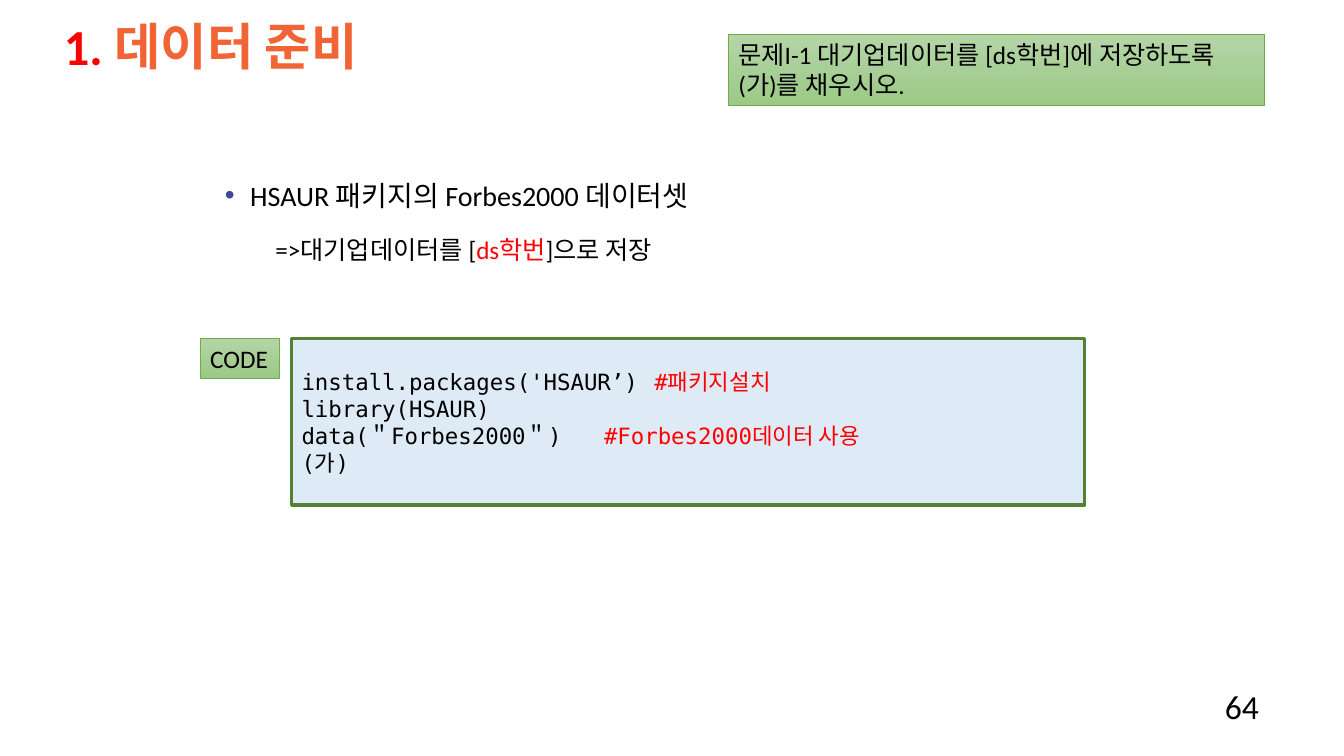
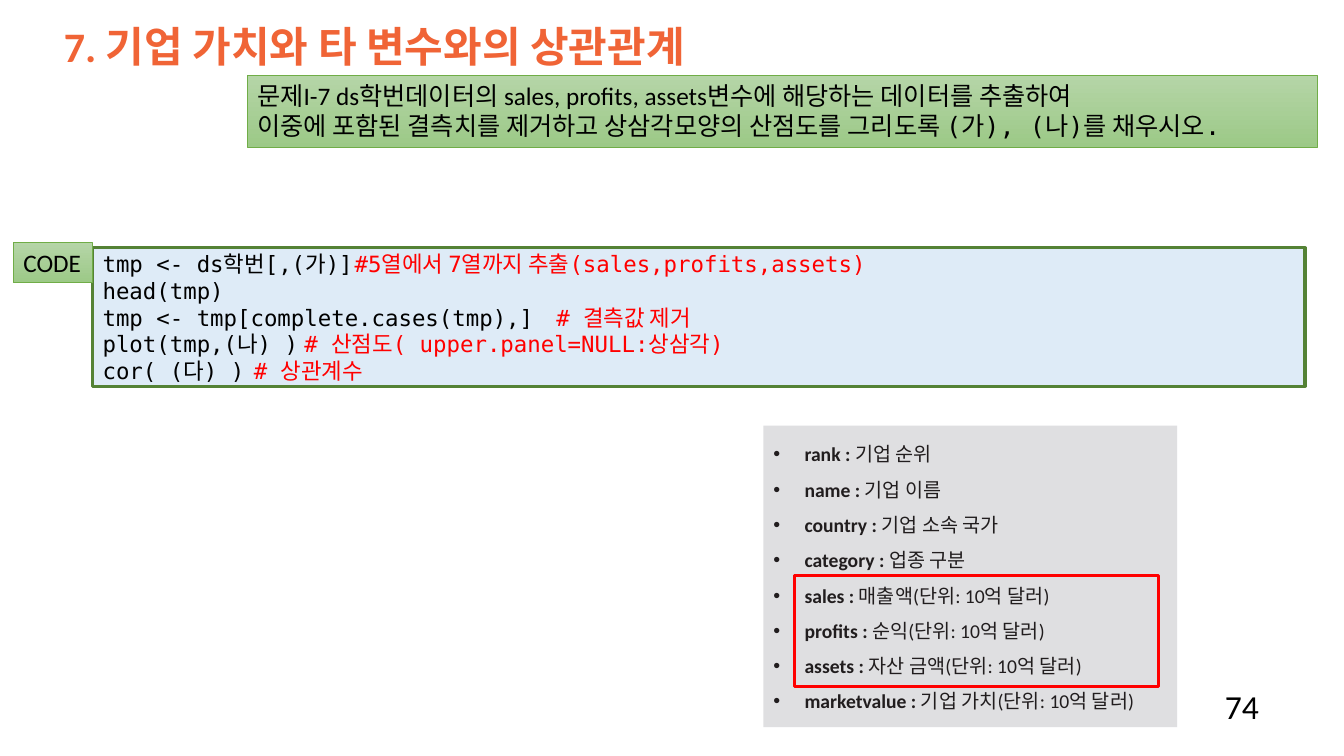
from dataclasses import dataclass
from typing import Optional

from lxml.etree import SubElement
from pptx import Presentation
from pptx.dml.color import RGBColor
from pptx.enum.shapes import MSO_SHAPE
from pptx.enum.text import MSO_ANCHOR, MSO_AUTO_SIZE, PP_ALIGN
from pptx.oxml.ns import qn
from pptx.util import Inches, Pt

WIDTH, HEIGHT = Inches(13.33), Inches(7.5)
SANS, MONO = "Calibri", "DejaVu Sans Mono"
BLACK, RED, ORANGE = "000000", "FF0000", "F06436"
GREEN_TOP, GREEN_BOTTOM, GREEN_EDGE = "B5D5A7", "9CC987", "70AD47"
CODE_FILL, CODE_EDGE = "DEEBF7", "548235"
LIST_FILL, LIST_TEXT, BULLET_BLUE = "DFDFE1", "211D1E", "3C479D"


@dataclass(frozen=True)
class Place:
    """Position and size as percentages of the slide."""
    left: float
    top: float
    width: float
    height: float

    def lengths(self) -> tuple[int, int, int, int]:
        """Return left, top, width and height in slide units."""
        return (int(WIDTH * self.left / 100), int(HEIGHT * self.top / 100),
                int(WIDTH * self.width / 100), int(HEIGHT * self.height / 100))


@dataclass(frozen=True)
class Span:
    """Text with the formatting that differs from its paragraph."""
    text: str
    color: Optional[str] = None
    bold: Optional[bool] = None
    font: Optional[str] = None


@dataclass(frozen=True)
class Style:
    """Formatting shared by all spans of a paragraph."""
    size: float
    color: str = BLACK
    font: str = SANS
    bold: bool = False
    spacing: float = 1.0
    before: float = 0
    align: PP_ALIGN = PP_ALIGN.LEFT
    margin: float = 0
    hanging: float = 0
    bullet_color: Optional[str] = None
    tab: Optional[float] = None


@dataclass(frozen=True)
class Line:
    """One paragraph."""
    spans: tuple[Span, ...]
    style: Style


TITLE_PLACE = Place(4, 1.6, 92.6, 9.7)
NUMBER_PLACE = Place(88.2, 90.8, 6.2, 5.3)
TAG_WIDTH, TAG_HEIGHT = 5.9, 5.3
LABEL_STYLE = Style(18)
NUMBER_STYLE = Style(24, align=PP_ALIGN.RIGHT)
VARIABLE_STYLE = Style(14, LIST_TEXT, spacing=1.5, align=PP_ALIGN.JUSTIFY,
                       margin=0.31, hanging=0.31, bullet_color=LIST_TEXT)
VARIABLES = (
    ("rank", "기업 순위"),
    ("name", "기업 이름"),
    ("country", "기업 소속 국가"),
    ("category", "업종 구분"),
    ("sales", "매출액(단위: 10억 달러)"),
    ("profits", "순익(단위: 10억 달러)"),
    ("assets", "자산 금액(단위: 10억 달러)"),
    ("marketvalue", "기업 가치(단위: 10억 달러)"),
)


def rgb(code: str) -> RGBColor:
    """Turn a hex string into a colour."""
    return RGBColor.from_string(code)


def format_paragraph(para, style: Style) -> None:
    """Apply indents, bullet, tab stop, spacing and font."""
    properties = para._p.get_or_add_pPr()
    properties.set("marL", str(Inches(style.margin)))
    properties.set("indent", str(-Inches(style.hanging)))
    if style.bullet_color:
        color = SubElement(properties, qn("a:buClr"))
        SubElement(color, qn("a:srgbClr"), val=style.bullet_color)
        SubElement(properties, qn("a:buFont"), typeface="Arial")
        SubElement(properties, qn("a:buChar"), char="•")
    if style.tab:
        stops = SubElement(properties, qn("a:tabLst"))
        SubElement(stops, qn("a:tab"), pos=str(Inches(style.tab)), algn="l")
    para.alignment = style.align
    para.line_spacing = style.spacing
    para.space_before = Pt(style.before)
    para.font.size = Pt(style.size)
    para.font.name = style.font
    para.font.bold = style.bold
    para.font.color.rgb = rgb(style.color)


def write(frame, lines: list[Line], anchor=MSO_ANCHOR.TOP, wrap: bool = True) -> None:
    """Fill a text frame with formatted paragraphs."""
    frame.word_wrap = wrap
    frame.auto_size = MSO_AUTO_SIZE.NONE if wrap else MSO_AUTO_SIZE.SHAPE_TO_FIT_TEXT
    frame.vertical_anchor = anchor
    for index, line in enumerate(lines):
        para = frame.add_paragraph() if index else frame.paragraphs[0]
        format_paragraph(para, line.style)
        for span in line.spans:
            run = para.add_run()
            run.text = span.text
            if span.color:
                run.font.color.rgb = rgb(span.color)
            if span.bold is not None:
                run.font.bold = span.bold
            if span.font:
                run.font.name = span.font


def add_box(page, place: Place, fill: Optional[str] = None,
            edge: Optional[str] = None, weight: float = 2.25):
    """Add a flat rectangle."""
    box = page.shapes.add_shape(MSO_SHAPE.RECTANGLE, *place.lengths())
    box.shadow.inherit = False
    if fill:
        box.fill.solid()
        box.fill.fore_color.rgb = rgb(fill)
    else:
        box.fill.background()
    if edge:
        box.line.color.rgb = rgb(edge)
        box.line.width = Pt(weight)
    else:
        box.line.fill.background()
    return box


def add_label(page, place: Place, *rows: tuple[Span, ...]) -> None:
    """Add a green gradient box with text."""
    box = add_box(page, place, edge=GREEN_EDGE, weight=0.5)
    box.fill.gradient()
    box.fill.gradient_angle = 270
    for stop, color in zip(box.fill.gradient_stops, (GREEN_TOP, GREEN_BOTTOM)):
        stop.color.rgb = rgb(color)
    write(box.text_frame, [Line(row, LABEL_STYLE) for row in rows], wrap=False)


def add_code(page, place: Place, tag_left: float, tag_top: float,
             rows: list[tuple[str, str, float]]) -> None:
    """Add a code panel with red comments and its CODE tag."""
    lines = []
    for code, comment, tab in rows:
        spans = (Span(f"{code}\t"), Span(comment, RED)) if comment else (Span(code),)
        lines.append(Line(spans, Style(16, font=MONO, tab=tab)))
    panel = add_box(page, place, CODE_FILL, CODE_EDGE)
    write(panel.text_frame, lines, MSO_ANCHOR.MIDDLE)
    add_label(page, Place(tag_left, tag_top, TAG_WIDTH, TAG_HEIGHT), (Span("CODE"),))


def add_text(page, place: Place, lines: list[Line], anchor=MSO_ANCHOR.TOP) -> None:
    """Add a plain text box."""
    write(page.shapes.add_textbox(*place.lengths()).text_frame, lines, anchor)


def add_page(deck, size: float, number: str, *title: Span):
    """Add a titled and numbered slide."""
    page = deck.slides.add_slide(deck.slide_layouts[5])
    heading = page.shapes.title
    heading.left, heading.top, heading.width, heading.height = TITLE_PLACE.lengths()
    style = Style(size, ORANGE, bold=True, spacing=0.9)
    write(heading.text_frame, [Line(title, style)], MSO_ANCHOR.MIDDLE)
    add_text(page, NUMBER_PLACE, [Line((Span(number),), NUMBER_STYLE)], MSO_ANCHOR.MIDDLE)
    return page


def build_preparation(deck) -> None:
    """Build the data preparation slide."""
    page = add_page(deck, 36, "64", Span("1. ", RED), Span("데이터 준비"))
    add_text(page, Place(8.5, 20.7, 82.7, 67.5), [
        Line((Span("HSAUR 패키지의 Forbes2000 데이터셋"),),
             Style(20, spacing=1.5, margin=1.25, hanging=0.25, bullet_color=BULLET_BLUE)),
        Line((Span("=>대기업데이터를 ["), Span("ds학번", RED), Span("]으로 저장")),
             Style(18, spacing=1.5, before=5, margin=1.5)),
    ])
    add_code(page, Place(21.7, 44.8, 59, 22), 14.9, 44.7, [
        ("install.packages('HSAUR’)", "#패키지설치", 3.86),
        ("library(HSAUR)", "", 0),
        ("data(＂Forbes2000＂)", "#Forbes2000데이터 사용", 3.98),
        ("(가)", "", 0),
    ])
    add_label(page, Place(54.2, 4.5, 39.9, 9.5),
              (Span("문제I-1 대기업데이터를 [ds학번]에 저장하도록"),),
              (Span("(가)를 채우시오."),))


def build_correlation(deck) -> None:
    """Build the correlation slide."""
    page = add_page(deck, 30, "74", Span("7. 기업 가치와 타 변수와의 상관관계"))
    add_code(page, Place(6.9, 32.8, 90.2, 18.3), 1, 32.1, [
        ("tmp <- ds학번[,(가)]", "#5열에서 7열까지 추출(sales,profits,assets)", 5.08),
        ("head(tmp)", "", 0),
        ("tmp <- tmp[complete.cases(tmp),]", "# 결측값 제거", 4.5),
        ("plot(tmp,(나) )", "# 산점도( upper.panel=NULL:상삼각)", 5),
        ("cor( (다) )", "# 상관계수", 5),
    ])
    variables = add_box(page, Place(56.8, 56.3, 30.8, 39.9), LIST_FILL)
    write(variables.text_frame, [
        Line((Span(f"{name} : ", bold=True), Span(meaning)), VARIABLE_STYLE)
        for name, meaning in VARIABLES
    ])
    add_box(page, Place(59.1, 76.1, 27.1, 14.7), edge=RED)
    add_label(page, Place(18.4, 10, 79.6, 9.5),
              (Span("문제I-7 ds학번데이터의 sales, profits, assets변수에 해당하는 데이터를 추출하여"),),
              (Span("이중에 포함된 결측치를 제거하고 상삼각모양의 산점도를 그리도록 "),
               Span("(가), (나)를 채우시오.", font=MONO)))


def main() -> None:
    """Build and save the deck."""
    deck = Presentation()
    deck.slide_width, deck.slide_height = WIDTH, HEIGHT
    build_preparation(deck)
    build_correlation(deck)
    deck.save("out.pptx")


if __name__ == "__main__":
    main()
